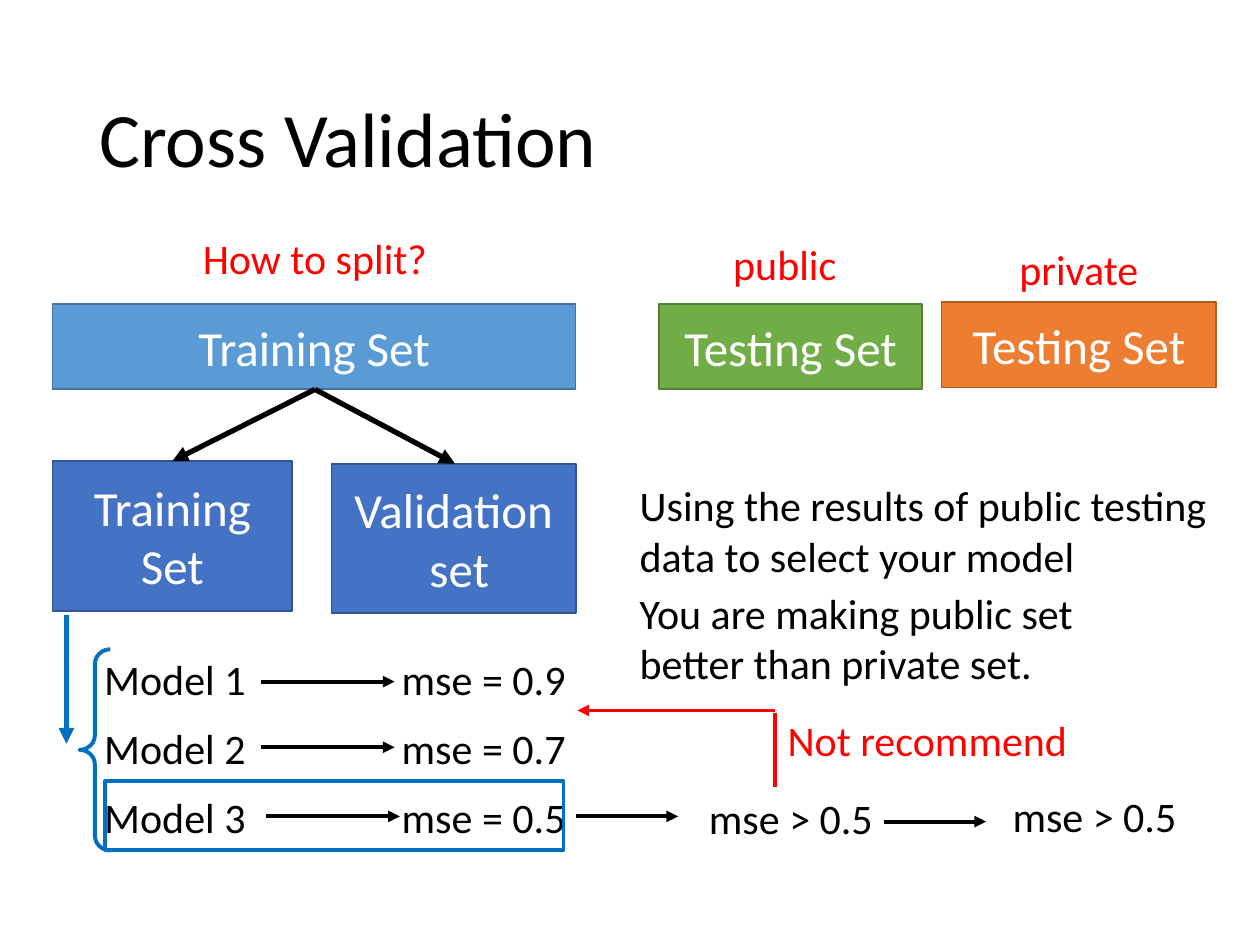
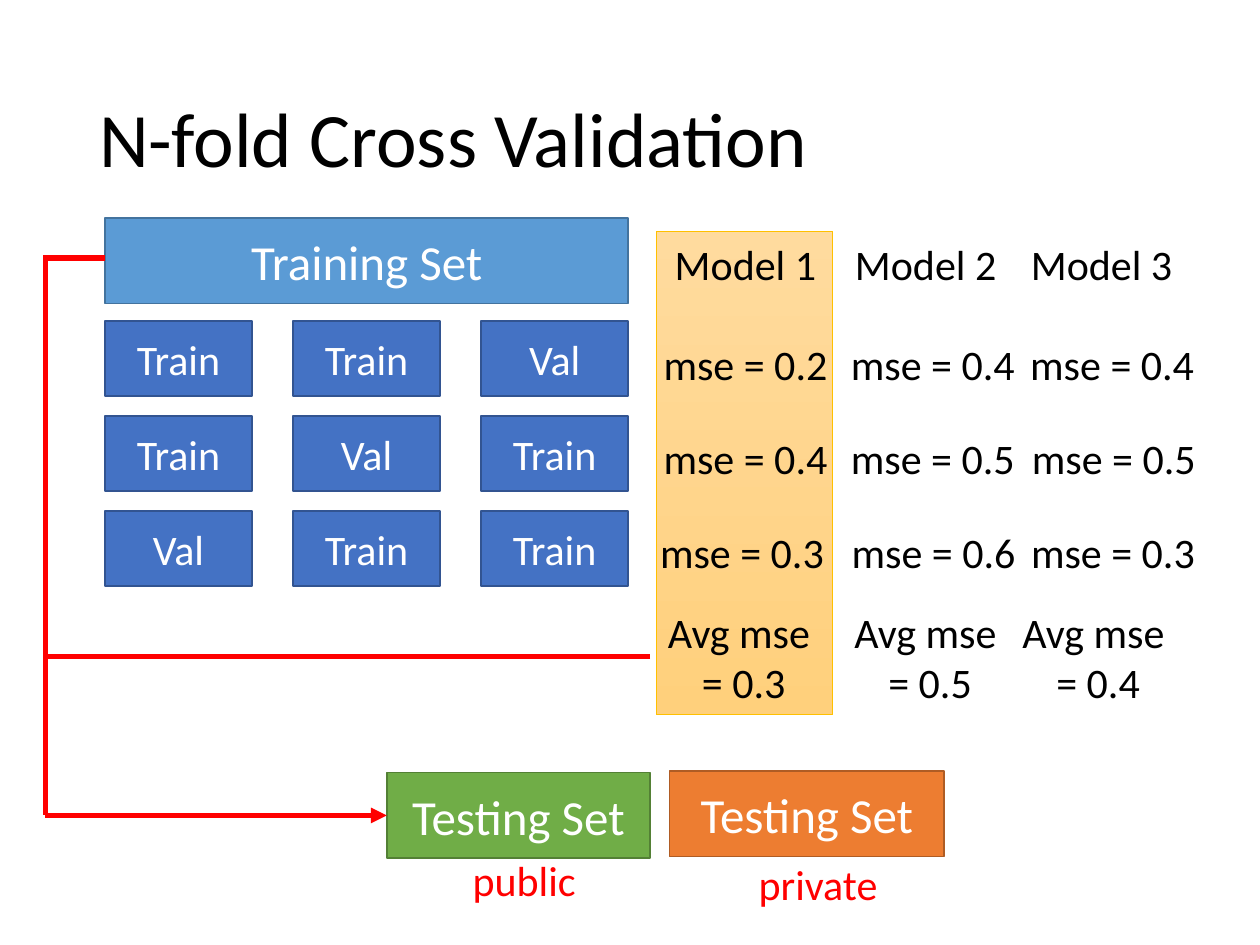
from lxml import etree
from pptx import Presentation
from pptx.dml.color import RGBColor
from pptx.enum.shapes import MSO_CONNECTOR, MSO_SHAPE
from pptx.enum.text import MSO_ANCHOR, PP_ALIGN
from pptx.oxml.ns import qn
from pptx.util import Pt

STRAIGHT = MSO_CONNECTOR.STRAIGHT
RECTANGLE, BRACE = MSO_SHAPE.RECTANGLE, MSO_SHAPE.LEFT_BRACE
LEFT, CENTER = PP_ALIGN.LEFT, PP_ALIGN.CENTER
TOP, MIDDLE = MSO_ANCHOR.TOP, MSO_ANCHOR.MIDDLE
FONT = "Calibri"
COLORS = {
    "black": "000000", "white": "FFFFFF", "red": "FF0000", "accent": "0070C0",
    "sky": "5B9BD5", "sky_edge": "43739E",
    "blue": "4472C4", "blue_edge": "325491",
    "green": "70AD47", "green_edge": "538035",
    "orange": "ED7D31", "orange_edge": "AF5C24",
    "gold_light": "FFDB9E", "gold_dark": "FFD07C", "gold_edge": "FFC000",
}
RGB = {name: RGBColor.from_string(value) for name, value in COLORS.items()}


def write(slide, text, left, top, width, height=36, size=24, color="black",
          align=LEFT, fill=None):
    area = Pt(left), Pt(top), Pt(width), Pt(height)
    if fill:
        item = slide.shapes.add_shape(RECTANGLE, *area)
        item.shadow.inherit = False
        item.fill.solid()
        item.fill.fore_color.rgb = RGB[fill]
        item.line.color.rgb = RGB[fill + "_edge"]
        item.line.width = Pt(1)
        color, align = "white", CENTER
    else:
        item = slide.shapes.add_textbox(*area)
    frame = item.text_frame
    frame.word_wrap = True
    frame.vertical_anchor = MIDDLE if fill else TOP
    frame.text = text
    for paragraph in frame.paragraphs:
        paragraph.alignment = align
        paragraph.font.name = FONT
        paragraph.font.size = Pt(size)
        paragraph.font.color.rgb = RGB[color]


def connect(slide, x1, y1, x2, y2, color="black", weight=2.25, head=True):
    link = slide.shapes.add_connector(STRAIGHT, Pt(x1), Pt(y1), Pt(x2), Pt(y2))
    link.line.color.rgb = RGB[color]
    link.line.width = Pt(weight)
    if head:
        etree.SubElement(link.line._get_or_add_ln(), qn("a:tailEnd"), type="triangle")
    etree.SubElement(link._element.spPr, qn("a:effectLst"))


deck = Presentation()
deck.slide_width, deck.slide_height = Pt(720), Pt(540)

slides = []
for heading in ("Cross Validation", "N-fold Cross Validation"):
    slide = deck.slides.add_slide(deck.slide_layouts[5])
    title = slide.shapes.title
    title.left, title.top, title.width, title.height = Pt(49.5), Pt(29), Pt(621), Pt(104.5)
    title.text_frame.text = heading
    title.text_frame.vertical_anchor = MIDDLE
    line = title.text_frame.paragraphs[0]
    line.alignment = LEFT
    line.line_spacing = 0.9
    line.font.name = FONT
    line.font.size = Pt(44)
    line.font.color.rgb = RGB["black"]
    slides.append(slide)
split, folds = slides

best_model = folds.shapes.add_shape(RECTANGLE, Pt(375), Pt(132), Pt(101), Pt(276.5))
best_model.shadow.inherit = False
best_model.fill.gradient()
best_model.fill.gradient_angle = 270
for stop, shade in zip(best_model.fill.gradient_stops, ("gold_light", "gold_dark")):
    stop.color.rgb = RGB[shade]
best_model.line.color.rgb = RGB["gold_edge"]
best_model.line.width = Pt(0.5)

for slide, left, top in ((split, 30, 173.5), (folds, 60, 124.5)):
    write(slide, "Training Set", left, top, 299, 49, size=28, fill="sky")

for slide, left, top, label_left, label_top in (
    (split, 376.5, 173.5, 376.5, 133),
    (folds, 221, 441.5, 227.5, 484.5),
):
    write(slide, "Testing Set", left, top, 150.5, 49, size=28, fill="green")
    write(slide, "Testing Set", left + 161.5, top - 1, 157, 49, size=28, fill="orange")
    write(slide, "public", label_left, label_top, 144, color="red", align=CENTER)
    write(slide, "private", label_left + 168, label_top + 2.5, 144, color="red", align=CENTER)

write(split, "How to split?", 33, 129.5, 294, color="red", align=CENTER)
write(split, "Training Set", 30, 263.5, 137, 85.5, size=28, fill="blue")
write(split, "Validation\n set", 189.5, 265, 139.5, 85.5, size=28, fill="blue")
connect(split, 180, 222.5, 98.5, 263.5, weight=3)
connect(split, 180, 222.5, 260, 265, weight=3)

for number, (mse, arrow_left, arrow_top) in enumerate(
    (("0.9", 149, 389.5), ("0.7", 149, 427), ("0.5", 152, 466.5))
):
    row_top = 370 + 39.25 * number
    write(split, f"Model {number + 1}", 52.5, row_top, 99.5)
    write(split, f"mse = {mse}", 222.5, row_top, 122)
    connect(split, arrow_left, arrow_top, arrow_left + 76.5, arrow_top)

for arrow_left, arrow_top, mse_left, mse_top in (
    (329, 466.5, 398, 449.5), (505, 469.5, 571.5, 448),
):
    connect(split, arrow_left, arrow_top, arrow_left + 58.5, arrow_top)
    write(split, "mse > 0.5", mse_left, mse_top, 123)

models_brace = split.shapes.add_shape(BRACE, Pt(45.5), Pt(371), Pt(17.5), Pt(115))
models_brace.adjustments[0] = 0.48
chosen_model = split.shapes.add_shape(RECTANGLE, Pt(60), Pt(446.5), Pt(262), Pt(39))
for outline in (models_brace, chosen_model):
    outline.shadow.inherit = False
    outline.fill.background()
    outline.line.color.rgb = RGB["accent"]
    outline.line.width = Pt(2.25)
connect(split, 38, 351.5, 38, 425, color="accent", weight=3)

connect(split, 443, 449.5, 443, 407.5, color="red", head=False)
connect(split, 443, 406, 330, 406, color="red")
write(split, "Not recommend", 443, 404.5, 198, color="red")
write(split, "Using the results of public testing data to select your model",
      358.5, 270.5, 346.5, 65.5)
write(split, "You are making public set better than private set.",
      358.5, 332, 294, 65.5)

for row in range(3):
    for column in range(3):
        role = "Val" if row + column == 2 else "Train"
        write(folds, role, 60 + 107.5 * column, 183.5 + 54.25 * row, 84, 43, fill="blue")

results = (
    ("Model 1", 378.5, (("0.2", 426), ("0.4", 426), ("0.3", 424)), "0.3", 425),
    ("Model 2", 481.5, (("0.4", 533), ("0.5", 533), ("0.6", 533.5)), "0.5", 531.5),
    ("Model 3", 582, (("0.4", 635.5), ("0.5", 636.5), ("0.3", 636)), "0.4", 627.5),
)
for model, model_left, scores, average, average_center in results:
    write(folds, model, model_left, 132.5, 99.5)
    for row, (mse, center) in enumerate(scores):
        write(folds, f"mse = {mse}", center - 59, 190 + 53.75 * row, 118, align=CENTER)
    write(folds, f"Avg mse \n= {average}", average_center - 53.5, 343, 107, 65.5, align=CENTER)

for route in ((26, 146, 26, 466), (371.5, 375, 26, 375), (60, 147.5, 26, 147.5)):
    connect(folds, *route, color="red", weight=3, head=False)
connect(folds, 26, 466, 221, 466, color="red", weight=3)

deck.save("out.pptx")
